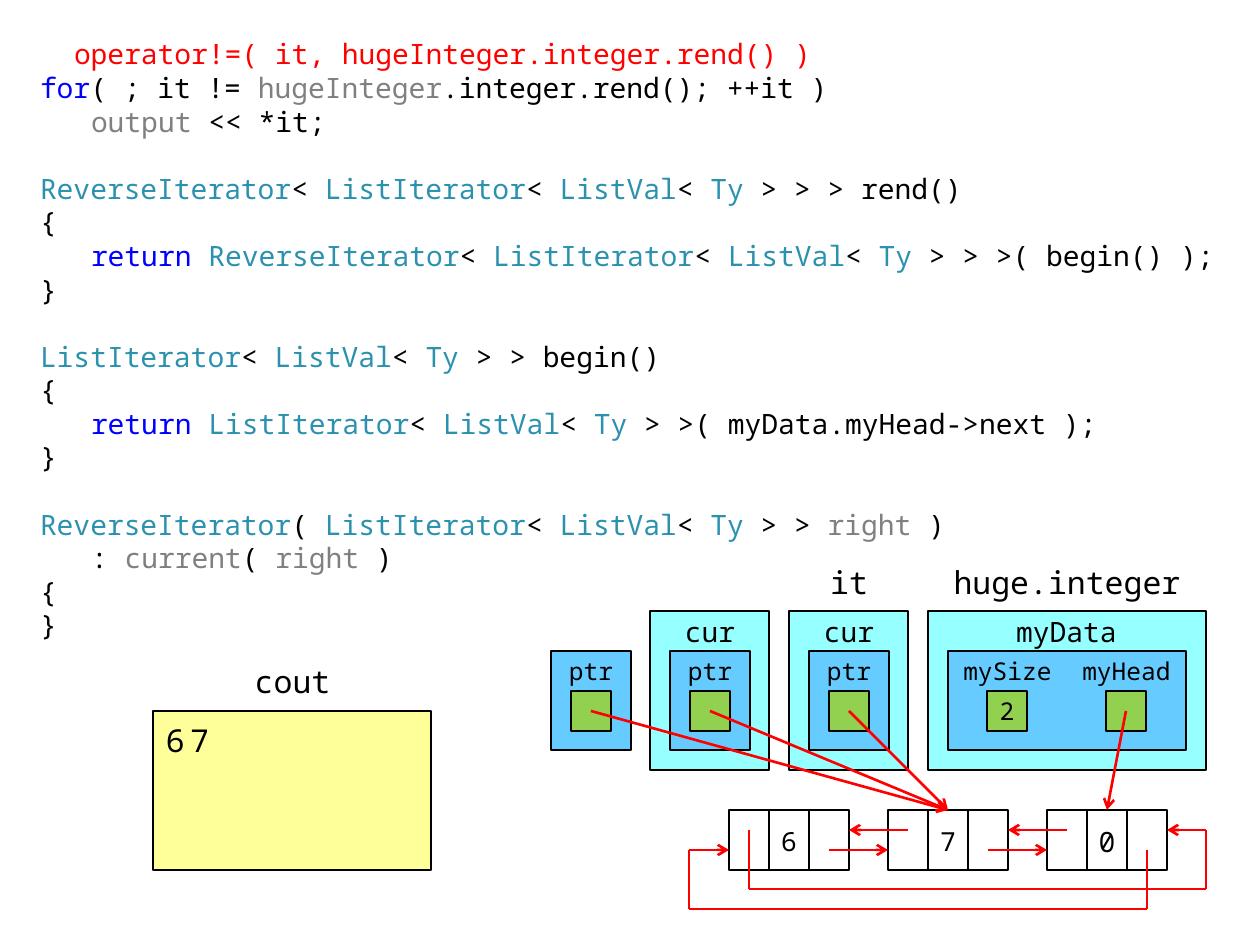
"""Build the slide on reverse iteration through a linked list of digits."""
from dataclasses import dataclass
from itertools import groupby, pairwise

from lxml.etree import SubElement
from pptx import Presentation
from pptx.dml.color import RGBColor
from pptx.enum.shapes import MSO_CONNECTOR, MSO_SHAPE
from pptx.enum.text import MSO_ANCHOR, MSO_AUTO_SIZE, PP_ALIGN
from pptx.oxml.ns import qn
from pptx.util import Emu, Pt


@dataclass(frozen=True)
class Theme:
    font: str = "Noto Sans Mono"
    black: str = "000000"
    red: str = "FF0000"
    keyword: str = "0000FF"
    type_name: str = "2B91AF"
    variable: str = "808080"
    outer: str = "96FFFF"
    inner: str = "66CCFF"
    value: str = "92D050"
    console: str = "FFFF99"
    code_size: int = 16
    code_pitch: float = 19.2
    caption_size: int = 18
    member_size: int = 16
    field_size: int = 14
    digit_size: int = 15
    stroke: float = 1.5


THEME = Theme()
WORD_COLORS = {
    **dict.fromkeys(["for", "return"], THEME.keyword),
    **dict.fromkeys(["ReverseIterator", "ListIterator", "ListVal", "Ty"], THEME.type_name),
    **dict.fromkeys(["hugeInteger", "output", "right", "current"], THEME.variable),
}
CALL = "  operator!=( it, hugeInteger.integer.rend() )"
CODE = [
    [CALL,
     "for( ; it != hugeInteger.integer.rend(); ++it )",
     "   output << *it;"],
    ["ReverseIterator< ListIterator< ListVal< Ty > > > rend()",
     "{",
     "   return ReverseIterator< ListIterator< ListVal< Ty > > >( begin() );",
     "}"],
    ["ListIterator< ListVal< Ty > > begin()",
     "{",
     "   return ListIterator< ListVal< Ty > >( myData.myHead->next );",
     "}"],
    ["ReverseIterator( ListIterator< ListVal< Ty > > right )",
     "   : current( right )",
     "{",
     "}"],
]
CELL = 40
CHARACTER = 17
CONTAINER_TOP, FIELD_TOP, VALUE_TOP, POINTER_Y = 611, 651, 691, 711
NODE_TOP, BACK_Y, FORWARD_Y = 810, 830, 850


def px(length):
    return Emu(round(length * 914400 / 126))


class SlideBuilder:
    """Hold the theme and the current slide, and add its elements."""

    def __init__(self, presentation, theme):
        self.theme = theme
        self.slide = presentation.slides.add_slide(presentation.slide_layouts[1])
        title = self.slide.shapes.title
        title._element.getparent().remove(title._element)

    def run(self, paragraph, text, size, color):
        run = paragraph.add_run()
        run.text = text
        run.font.name = self.theme.font
        run.font.size = Pt(size)
        run.font.color.rgb = RGBColor.from_string(color)
        return run

    def frame(self, shape, insets, anchor):
        frame = shape.text_frame
        frame.word_wrap = True
        frame.auto_size = MSO_AUTO_SIZE.NONE
        frame.vertical_anchor = anchor
        sides = ("margin_left", "margin_top", "margin_right", "margin_bottom")
        for side, inset in zip(sides, insets):
            setattr(frame, side, px(inset))
        return frame

    def centre(self, shape, text, size, top_inset=0):
        frame = self.frame(shape, (0, top_inset, 0, 0), MSO_ANCHOR.MIDDLE)
        paragraph = frame.paragraphs[0]
        paragraph.alignment = PP_ALIGN.CENTER
        self.run(paragraph, text, size, self.theme.black)

    def code(self, x, y, width, height, blocks):
        body = self.slide.placeholders[1]
        body.left, body.top, body.width, body.height = map(px, (x, y, width, height))
        frame = self.frame(body, (5, 0, 5, 6), MSO_ANCHOR.TOP)
        lines = [(line, row == 0 and number > 0)
                 for number, block in enumerate(blocks) for row, line in enumerate(block)]
        for number, (line, starts_block) in enumerate(lines):
            paragraph = frame.add_paragraph() if number else frame.paragraphs[0]
            self.code_line(paragraph, line, starts_block)

    def code_line(self, paragraph, line, starts_block):
        paragraph.alignment = PP_ALIGN.LEFT
        paragraph.line_spacing = Pt(self.theme.code_pitch)
        paragraph.space_before = Pt(self.theme.code_pitch if starts_block else 0)
        paragraph.space_after = Pt(0)
        text = line.lstrip()
        properties = paragraph._p.get_or_add_pPr()
        properties.set("marL", str(px(CHARACTER * (len(line) - len(text)))))
        properties.set("indent", "0")
        SubElement(properties, qn("a:buNone"))
        if line == CALL:
            self.run(paragraph, text, self.theme.code_size, self.theme.red)
            return
        words = ["".join(group) for _, group in groupby(text, str.isalnum)]
        for color, group in groupby(words, lambda word: WORD_COLORS.get(word, self.theme.black)):
            self.run(paragraph, "".join(group), self.theme.code_size, color)

    def box(self, x, y, width, height, fill=None, kind=MSO_SHAPE.FLOWCHART_PROCESS):
        shape = self.slide.shapes.add_shape(kind, *map(px, (x, y, width, height)))
        shape.shadow.inherit = False
        if fill:
            shape.fill.solid()
            shape.fill.fore_color.rgb = RGBColor.from_string(fill)
        else:
            shape.fill.background()
        shape.line.color.rgb = RGBColor.from_string(self.theme.black)
        shape.line.width = Pt(self.theme.stroke)
        return shape

    def label(self, x, y, width, height, text, size):
        shape = self.slide.shapes.add_textbox(*map(px, (x, y, width, height)))
        self.centre(shape, text, size)

    def field(self, x, width, name, value=None):
        self.label(x, FIELD_TOP, width, CELL, name, self.theme.field_size)
        left = x + (width - CELL) // 2
        square = self.box(left, VALUE_TOP, CELL, CELL, self.theme.value, MSO_SHAPE.RECTANGLE)
        if value:
            self.centre(square, value, self.theme.field_size)

    def iterator(self, x):
        self.box(x, FIELD_TOP, 80, 99, self.theme.inner)
        self.field(x, 80, "ptr")

    def reverse_iterator(self, x):
        self.box(x, CONTAINER_TOP, 119, 159, self.theme.outer)
        self.label(x + 20, CONTAINER_TOP, 80, CELL, "cur", self.theme.member_size)
        self.iterator(x + 20)

    def node(self, x, digit, size):
        cells = [self.box(x + CELL * column, NODE_TOP, CELL, 60, kind=MSO_SHAPE.RECTANGLE)
                 for column in range(3)]
        self.centre(cells[1], digit, size, top_inset=3)
        return cells[1]

    def console(self, x, y, width, height, text):
        shape = self.box(x, y, width, height, self.theme.console)
        paragraph = self.frame(shape, (13, 10, 13, 6), MSO_ANCHOR.TOP).paragraphs[0]
        paragraph.alignment = PP_ALIGN.LEFT
        run = self.run(paragraph, text, self.theme.caption_size, self.theme.black)
        run.font._element.set("spc", "300")

    def line(self, start, end, arrow=True, target=None):
        connector = self.slide.shapes.add_connector(
            MSO_CONNECTOR.STRAIGHT, *map(px, (*start, *end)))
        connector.line.color.rgb = RGBColor.from_string(self.theme.red)
        connector.line.width = Pt(self.theme.stroke)
        if arrow:
            SubElement(connector.line._get_or_add_ln(), qn("a:tailEnd"), type="arrow")
        SubElement(connector._element.spPr, qn("a:effectLst"))
        if target:
            connector.end_connect(target, 0)

    def route(self, *points):
        for start, end in pairwise(points):
            self.line(start, end, arrow=end == points[-1])


def main():
    presentation = Presentation()
    presentation.slide_width, presentation.slide_height = px(1260), px(945)
    builder = SlideBuilder(presentation, THEME)
    builder.code(35, 37, 1191, 615, CODE)

    builder.label(809, 552, 80, 60, "it", THEME.caption_size)
    builder.label(928, 552, 278, 60, "huge.integer", THEME.caption_size)
    builder.label(233, 651, 119, 60, "cout", THEME.caption_size)
    builder.console(153, 711, 278, 159, "67")

    builder.iterator(551)
    for x in (650, 789):
        builder.reverse_iterator(x)
    builder.box(928, CONTAINER_TOP, 278, 159, THEME.outer)
    builder.label(987, CONTAINER_TOP, 159, CELL, "myData", THEME.member_size)
    builder.box(948, FIELD_TOP, 238, 99, THEME.inner)
    builder.field(948, 119, "mySize", "2")
    builder.field(1067, 119, "myHead")

    nodes = (729, 888, 1047)
    sizes = (THEME.digit_size, THEME.digit_size, THEME.code_size)
    _, seven, zero = [builder.node(*node) for node in zip(nodes, "670", sizes)]
    for left, right in pairwise(nodes):
        builder.line((right + 20, BACK_Y), (left + 120, BACK_Y))
        builder.line((left + 100, FORWARD_Y), (right, FORWARD_Y))
    first, last = nodes[0], nodes[-1]
    builder.route((first + 20, BACK_Y), (first + 20, 889), (1206, 889),
                  (1206, BACK_Y), (last + 120, BACK_Y))
    builder.route((last + 100, FORWARD_Y), (last + 100, 909), (689, 909),
                  (689, FORWARD_Y), (first, FORWARD_Y))

    for x, target, top_x in ((591, seven, 948), (710, seven, 948),
                             (849, seven, 948), (1126, zero, 1107)):
        builder.line((x, POINTER_Y), (top_x, NODE_TOP), target=target)
    presentation.save("out.pptx")


if __name__ == "__main__":
    main()
